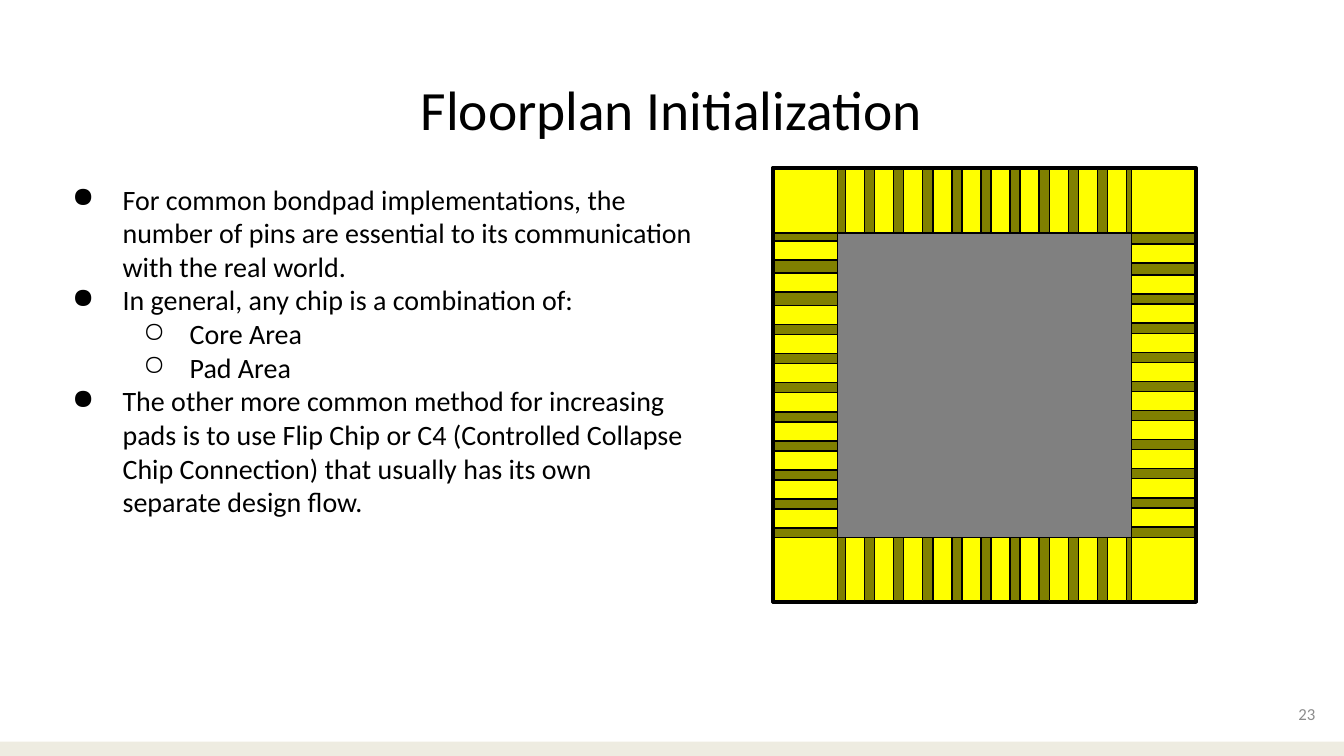
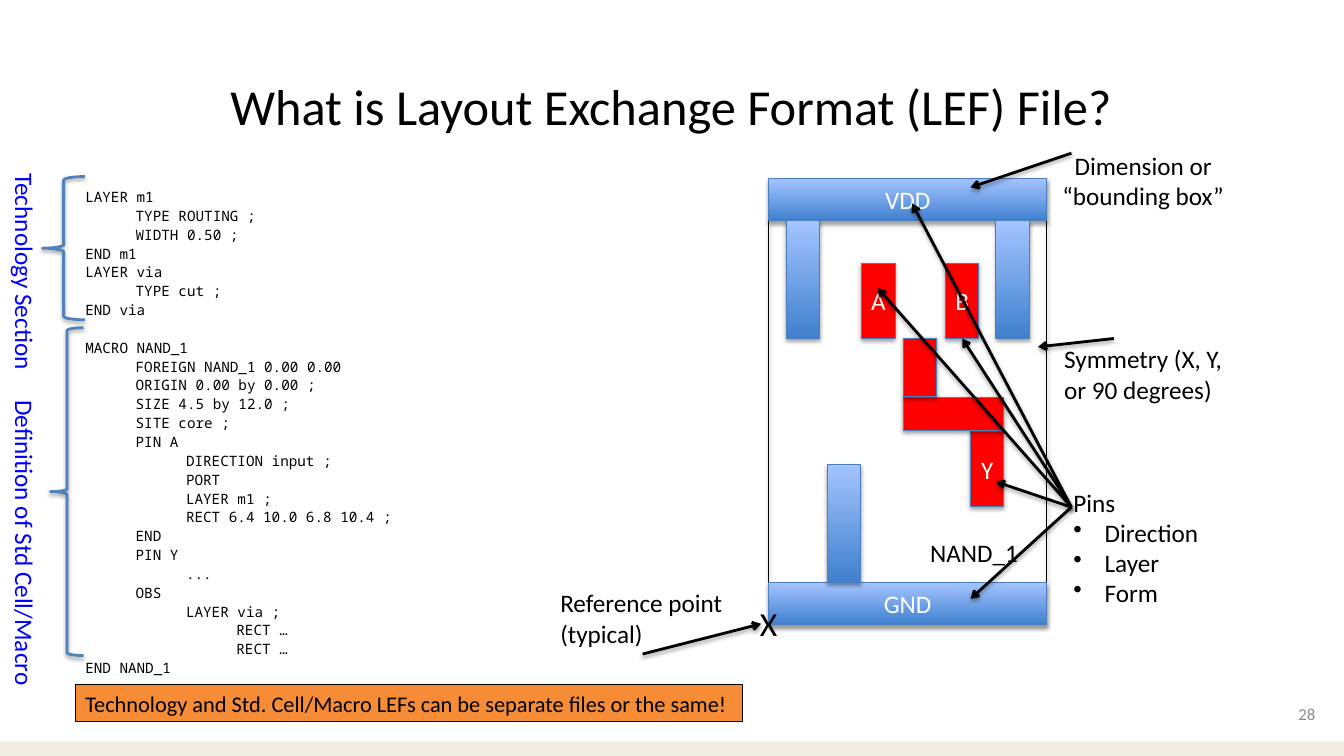
from dataclasses import dataclass

from lxml.etree import SubElement
from pptx import Presentation
from pptx.dml.color import RGBColor
from pptx.enum.shapes import MSO_CONNECTOR, MSO_SHAPE
from pptx.enum.text import MSO_ANCHOR as Anchor, PP_ALIGN as Align
from pptx.oxml.ns import qn
from pptx.util import Cm, Pt

TITLE_ONLY = 5
BOTTOM = 2


@dataclass(frozen=True)
class Theme:
    font: str = "Calibri"
    code_font: str = "Noto Sans Mono"
    black: RGBColor = RGBColor(0, 0, 0)
    white: RGBColor = RGBColor(255, 255, 255)
    band: RGBColor = RGBColor.from_string("EEECE1")
    page: RGBColor = RGBColor.from_string("8C8C8C")
    core: RGBColor = RGBColor.from_string("808080")
    pad_row: RGBColor = RGBColor.from_string("808000")
    pad: RGBColor = RGBColor.from_string("FFFF00")
    section: RGBColor = RGBColor.from_string("0000FF")
    brace: RGBColor = RGBColor.from_string("4F81BD")
    note: RGBColor = RGBColor.from_string("F68D36")
    pin: RGBColor = RGBColor.from_string("FF0000")
    metal_line: RGBColor = RGBColor.from_string("4B7EBC")
    metal: tuple = (RGBColor.from_string("3F80CE"), RGBColor.from_string("A4C4FF"))
    body_size: Pt = Pt(20)
    label_size: Pt = Pt(18)
    note_size: Pt = Pt(16)
    page_size: Pt = Pt(12)
    code_size: Pt = Pt(10.2)
    mark_size: Pt = Pt(24)


THEME = Theme()

# Bullet character, left margin and first-line indent in centimetres
DISC = ("●", 1.7, -1.27)
RING = ("○", 3.39, -1.17)
DOT = ("•", 0.79, -0.79)

FLOORPLAN_POINTS = [
    ("For common bondpad implementations, the number of pins are essential "
     "to its communication with the real world.", DISC),
    ("In general, any chip is a combination of:", DISC),
    ("Core Area", RING),
    ("Pad Area", RING),
    ("The other more common method for increasing pads is to use Flip Chip or C4 "
     "(Controlled Collapse Chip Connection) that usually has its own separate "
     "design flow.", DISC),
]

TECHNOLOGY_CODE = """LAYER m1
\tTYPE ROUTING ;
\tWIDTH 0.50 ;
END m1
LAYER via
\tTYPE cut ;
END via"""

MACRO_CODE = """MACRO NAND_1
\tFOREIGN NAND_1 0.00 0.00
\tORIGIN 0.00 by 0.00 ;
\tSIZE 4.5 by 12.0 ;
\tSITE core ;
\tPIN A
\t\tDIRECTION input ;
\t\tPORT
\t\tLAYER m1 ;
\t\tRECT 6.4 10.0 6.8 10.4 ;
\tEND
\tPIN Y
\t\t...
\tOBS
\t\tLAYER via ;
\t\t\tRECT …
\t\t\tRECT …
END NAND_1"""


def lengths(values):
    return [Cm(value) for value in values]


def apply_formats(target, formats):
    for name, value in formats.items():
        setattr(target, name, value)


def spread(first, last, count):
    """Return evenly spaced positions from first to last."""
    return [first + (last - first) * index / (count - 1) for index in range(count)]


def set_margins(frame, horizontal, vertical):
    apply_formats(frame, {
        "margin_left": Cm(horizontal), "margin_right": Cm(horizontal),
        "margin_top": Cm(vertical), "margin_bottom": Cm(vertical),
    })


def style_run(run, size, color=THEME.black, font=THEME.font):
    apply_formats(run.font, {"size": size, "name": font})
    run.font.color.rgb = color


def set_bullet(paragraph, bullet):
    character, margin, indent = bullet
    properties = paragraph._p.get_or_add_pPr()
    properties.set("marL", str(Cm(margin)))
    properties.set("indent", str(Cm(indent)))
    SubElement(properties, qn("a:buChar"), char=character)


def set_tabs(paragraph, step, count):
    tabs = SubElement(paragraph._p.get_or_add_pPr(), qn("a:tabLst"))
    for index in range(1, count + 1):
        SubElement(tabs, qn("a:tab"), pos=str(Cm(step * index)), algn="l")


def write(frame, lines, size, color=THEME.black, font=THEME.font, align=Align.LEFT):
    """Fill a text frame with (text, bullet) lines and return the paragraphs."""
    for index, (text, bullet) in enumerate(lines):
        paragraph = frame.add_paragraph() if index else frame.paragraphs[0]
        paragraph.alignment = align
        if bullet:
            set_bullet(paragraph, bullet)
        run = paragraph.add_run()
        run.text = text
        style_run(run, size, color, font)
    return frame.paragraphs


def add_text(slide, box, lines, size=THEME.label_size, margins=(0.25, 0.13),
             wrap=True, anchor=Anchor.TOP, **style):
    """Add a text box; a plain string stands for one line without a bullet."""
    shape = slide.shapes.add_textbox(*lengths(box))
    apply_formats(shape.text_frame, {"word_wrap": wrap, "vertical_anchor": anchor})
    set_margins(shape.text_frame, *margins)
    write(shape.text_frame, [(lines, None)] if isinstance(lines, str) else lines,
          size, **style)
    return shape


def add_shadow(effects):
    shadow = SubElement(effects, qn("a:outerShdw"), blurRad=str(Pt(3.1)),
                        dist=str(Pt(1.7)), dir="5400000", rotWithShape="0")
    color = SubElement(shadow, qn("a:srgbClr"), val=str(THEME.black))
    SubElement(color, qn("a:alpha"), val="36000")


def add_shape(shapes, box, fill=None, line=None, width=0.75,
              kind=MSO_SHAPE.RECTANGLE, shadow=False):
    """Add a preset shape; a pair of colours as fill makes an upward gradient."""
    shape = shapes.add_shape(kind, *lengths(box))
    if fill is None:
        shape.fill.background()
    elif isinstance(fill, RGBColor):
        shape.fill.solid()
        shape.fill.fore_color.rgb = fill
    else:
        shape.fill.gradient()
        shape.fill.gradient_angle = 90
        for stop, color in zip(shape.fill.gradient_stops, fill):
            stop.color.rgb = color
    if line is None:
        shape.line.fill.background()
    else:
        shape.line.color.rgb = line
        shape.line.width = Pt(width)
    shape.shadow.inherit = False
    if shadow:
        add_shadow(shape._element.spPr.find(qn("a:effectLst")))
    return shape


def add_cell_part(slide, box, fill, text=None):
    shape = add_shape(slide.shapes, box, fill, THEME.metal_line, shadow=True)
    if text:
        set_margins(shape.text_frame, 0, 0)
        shape.text_frame.vertical_anchor = Anchor.MIDDLE
        write(shape.text_frame, [(text, None)], THEME.label_size, THEME.white,
              align=Align.CENTER)
    return shape


def add_arrow(slide, start, end):
    arrow = slide.shapes.add_connector(MSO_CONNECTOR.STRAIGHT, *lengths(start + end))
    arrow.line.color.rgb = THEME.black
    arrow.line.width = Pt(2)
    SubElement(arrow.line._get_or_add_ln(), qn("a:tailEnd"), type="arrow")
    add_shadow(SubElement(arrow._element.spPr, qn("a:effectLst")))
    return arrow


def add_slide(presentation, title, title_size, page):
    """Add a slide with the shared band, title and page number."""
    slide = presentation.slides.add_slide(presentation.slide_layouts[TITLE_ONLY])
    add_shape(slide.shapes, (0, 18.69, 33.87, 0.36), THEME.band)
    placeholder = slide.shapes.title
    position = zip(("left", "top", "width", "height"), lengths((1.14, 1.65, 31.55, 2.26)))
    apply_formats(placeholder, dict(position))
    placeholder.text_frame.vertical_anchor = Anchor.TOP
    set_margins(placeholder.text_frame, 0.25, 0.25)
    write(placeholder.text_frame, [(title, None)], Pt(title_size), align=Align.CENTER)
    add_text(slide, (31.37, 17.27, 2.03, 1.45), page, THEME.page_size,
             margins=(0.25, 0.25), anchor=Anchor.MIDDLE, color=THEME.page,
             align=Align.RIGHT)
    return slide


def add_chip(slide):
    """Draw the core, the four pad rows and the corners as one group."""
    shapes = slide.shapes.add_group_shape().shapes
    side, pad = 1.6, 0.48
    left, right, top, bottom = 19.51, 28.52, 4.27, 13.54
    add_shape(shapes, (19.47, 4.23, 10.67, 10.95), THEME.core, THEME.black, 2.5)
    rows = [(19.56, y, 10.52, side) for y in (bottom, top)]
    rows += [(x, top, side, 10.85) for x in (left, right)]
    for row in rows:
        add_shape(shapes, row, THEME.pad_row, THEME.black, 1)

    pads = [(x, y, pad, side) for y in (top, bottom) for x in spread(21.31, 27.91, 10)]
    left_tops = [6.07, 6.88] + spread(7.7, 12.83, 8)
    right_tops = [6.15] + spread(6.93, 12.8, 9)
    for x, tops in ((left, left_tops), (right, right_tops)):
        pads += [(x, y, side, pad) for y in tops]
    corners = [(x, y, side, side) for x in (left, right) for y in (top, bottom)]
    for box in pads + corners:
        add_shape(shapes, box, THEME.pad, THEME.black, 1)


def add_code(slide):
    sections = [TECHNOLOGY_CODE.split("\n"), MACRO_CODE.split("\n")]
    lines = [(line, None) for section in sections for line in section]
    shape = add_text(slide, (1.9, 4.45, 13.46, 13.03), lines, THEME.code_size,
                     margins=(0.25, 0.25), font=THEME.code_font)
    paragraphs = shape.text_frame.paragraphs
    for paragraph in paragraphs:
        set_tabs(paragraph, 1.27, 3)
        paragraph.line_spacing = 1.1
    paragraphs[len(sections[0])].space_before = Pt(13.4)


def add_section(slide, text, label_box, brace_box):
    label = add_text(slide, label_box, text, wrap=False, color=THEME.section)
    label.text_frame._txBody.bodyPr.set("vert", "vert")
    add_shape(slide.shapes, brace_box, line=THEME.brace, width=2,
              kind=MSO_SHAPE.LEFT_BRACE, shadow=True)


def add_nand_cell(slide):
    """Draw the cell layout and return the shape of pin B."""
    left, top, width, rail = 19.38, 4.5, 6.99, 1.07
    bar = 0.84
    add_shape(slide.shapes, (left, top, width, 11.23), line=THEME.black, shadow=True)
    for y, name in ((top, "VDD"), (14.68, "GND")):
        add_cell_part(slide, (left, y, width, rail), THEME.metal, name)
    for x, y in ((19.81, 5.56), (25.1, 5.56), (20.85, 11.71)):
        add_cell_part(slide, (x, y, bar, 2.97), THEME.metal)
    pins = {name: add_cell_part(slide, (x, y, bar, 1.9), THEME.pin, name)
            for name, x, y in (("A", 21.72, 6.63), ("B", 23.83, 6.63), ("Y", 24.46, 10.87))}
    for size in ((2.54, bar), (bar, 1.47)):
        y = 10.01 if size[1] == bar else 8.53
        add_cell_part(slide, (22.76, y) + size, THEME.pin)
    return pins["B"]


def add_cell_labels(slide, pin_b):
    add_text(slide, (23.19, 13.41, 2.74, 1.02), "NAND_1", wrap=False)
    add_text(slide, (26.37, 3.66, 4.88, 1.8), "Dimension or “bounding box”",
             align=Align.CENTER)
    add_text(slide, (26.57, 8.53, 4.65, 1.8), "Symmetry (X, Y, or 90 degrees)")
    add_text(slide, (26.8, 12.14, 4.88, 3.33),
             [("Pins", None), ("Direction", DOT), ("Layer", DOT), ("Form", DOT)])
    add_text(slide, (18.9, 15.06, 0.97, 1.27), "X", THEME.mark_size, wrap=False)
    reference = add_text(slide, (13.87, 14.68, 4.65, 1.8), "Reference point (typical)")

    add_arrow(slide, (27, 3.86), (24.46, 4.72))
    add_arrow(slide, (28.07, 8.53), (26.16, 8.74))
    pins_start = (27, 12.78)
    for end in ((22.12, 7.26), (22.99, 5.13), (25.1, 12.14), (24.46, 15.09)):
        add_arrow(slide, pins_start, end)
    add_arrow(slide, pins_start, (24.26, 8.53)).end_connect(pin_b, BOTTOM)
    add_arrow(slide, (16.2, 16.46), (19.18, 15.72)).begin_connect(reference, BOTTOM)


def build_floorplan(presentation):
    slide = add_slide(presentation, "Floorplan Initialization", 39.6, "23")
    add_text(slide, (1.14, 4.34, 16.64, 12.57), FLOORPLAN_POINTS, THEME.body_size,
             margins=(0.25, 0.25))
    add_chip(slide)


def build_lef(presentation):
    slide = add_slide(presentation, "What is Layout Exchange Format (LEF) File?", 36, "28")
    add_code(slide)
    add_section(slide, "Technology Section", (0, 4.24, 1.27, 5.31), (1.07, 4.45, 1.07, 3.61))
    add_section(slide, "Definition of Std Cell/Macro", (0, 9.96, 1.27, 7.54),
                (1.27, 8.26, 0.84, 8.26))
    note = add_shape(slide.shapes, (1.9, 17.25, 16.81, 0.94), THEME.note, THEME.black)
    note.text_frame.word_wrap = False
    write(note.text_frame, [("Technology and Std. Cell/Macro LEFs can be separate files "
                             "or the same!", None)], THEME.note_size)
    add_cell_labels(slide, add_nand_cell(slide))


def main():
    presentation = Presentation()
    presentation.slide_width, presentation.slide_height = lengths((33.87, 19.05))
    build_floorplan(presentation)
    build_lef(presentation)
    presentation.save("out.pptx")


if __name__ == "__main__":
    main()
